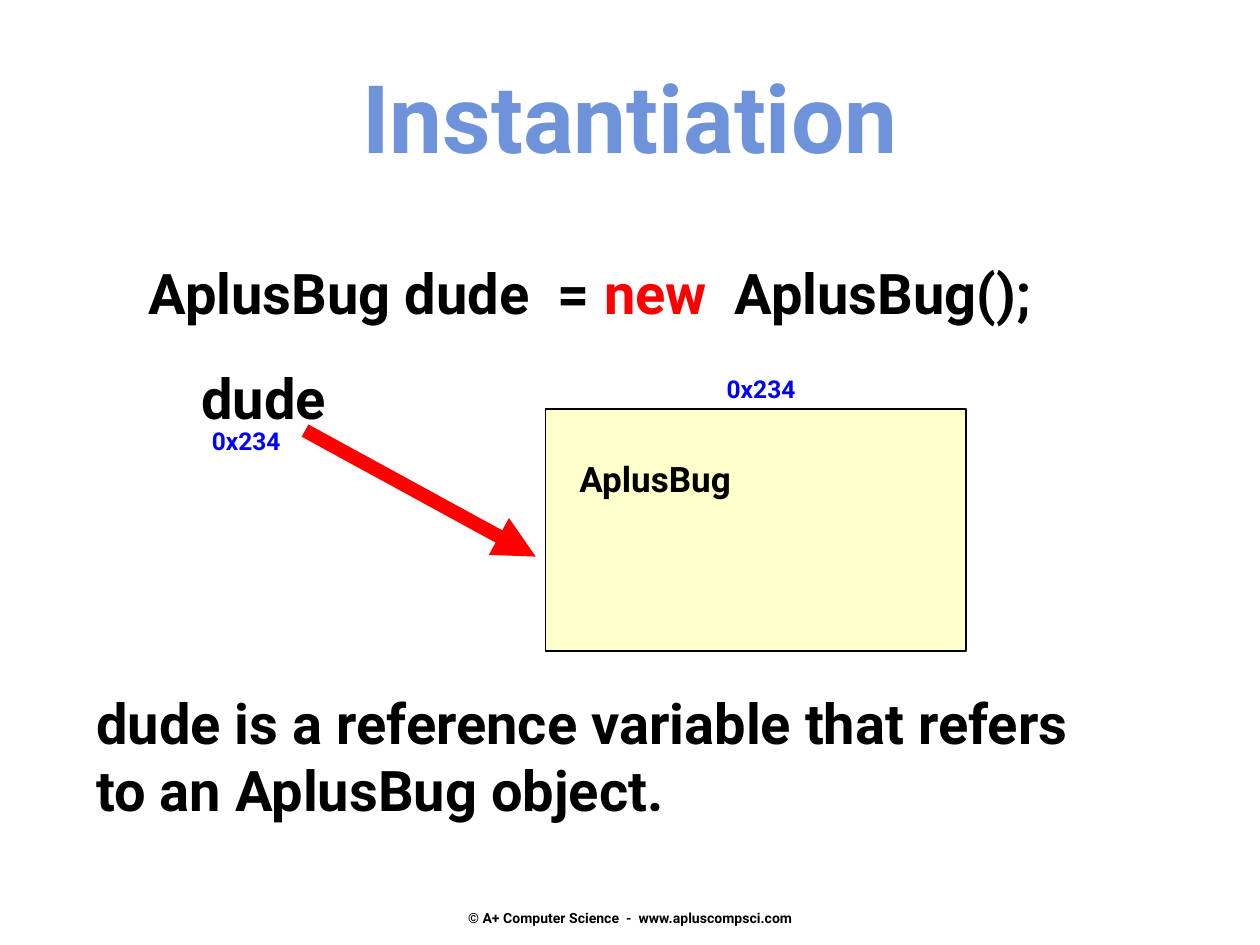
import pptx
import pptx.dml.color
import pptx.enum.shapes
import pptx.enum.text
import pptx.oxml
import pptx.oxml.ns
import pptx.util
from pptx.util import Cm

COLORS = {
    "title": "6F93DB",
    "text": "000000",
    "keyword": "FF0000",
    "address": "0000FF",
    "object": "FFFFCC",
}
ALIGN = pptx.enum.text.PP_ALIGN
ANCHOR = pptx.enum.text.MSO_ANCHOR


class SlideBuilder:
    """Holds the style and the slide being filled."""

    font_name = "Roboto"

    def __init__(self, slide):
        self.slide = slide

    def color(self, key):
        return pptx.dml.color.RGBColor.from_string(COLORS[key])

    def style(self, run, size, color):
        run.font.name = self.font_name
        run.font.size = pptx.util.Pt(size)
        run.font.bold = True
        run.font.color.rgb = self.color(color)

    def fill_frame(self, frame, text, size, color, align, anchor):
        frame.word_wrap = True
        frame.auto_size = pptx.enum.text.MSO_AUTO_SIZE.NONE
        frame.vertical_anchor = anchor
        frame.text = text
        for paragraph in frame.paragraphs:
            paragraph.alignment = align
            for run in paragraph.runs:
                self.style(run, size, color)

    def title(self, text, left, top, width, height):
        title = self.slide.shapes.title
        title.left, title.top = Cm(left), Cm(top)
        title.width, title.height = Cm(width), Cm(height)
        self.fill_frame(title.text_frame, text, 54, "title", ALIGN.CENTER, ANCHOR.TOP)

    def text(self, text, left, top, width, height, size=32, color="text",
             align=ALIGN.LEFT, anchor=ANCHOR.TOP):
        box = self.slide.shapes.add_textbox(Cm(left), Cm(top), Cm(width), Cm(height))
        self.fill_frame(box.text_frame, text, size, color, align, anchor)
        return box.text_frame

    def code(self, parts, left, top, width, height, size=32):
        paragraph = self.text("", left, top, width, height).paragraphs[0]
        for text, color in parts:
            run = paragraph.add_run()
            run.text = text
            self.style(run, size, color)

    def rectangle(self, left, top, width, height):
        box = self.slide.shapes.add_shape(
            pptx.enum.shapes.MSO_SHAPE.RECTANGLE,
            Cm(left), Cm(top), Cm(width), Cm(height))
        box.shadow.inherit = False
        box.fill.solid()
        box.fill.fore_color.rgb = self.color("object")
        box.line.color.rgb = self.color("text")
        box.line.width = pptx.util.Pt(1)

    def arrow(self, x1, y1, x2, y2):
        arrow = self.slide.shapes.add_connector(
            pptx.enum.shapes.MSO_CONNECTOR.STRAIGHT, Cm(x1), Cm(y1), Cm(x2), Cm(y2))
        arrow.line.color.rgb = self.color("keyword")
        arrow.line.width = pptx.util.Pt(8)
        head = pptx.oxml.parse_xml(
            '<a:tailEnd %s type="triangle"/>' % pptx.oxml.ns.nsdecls("a"))
        arrow.line._get_or_add_ln().append(head)
        arrow._element.spPr.append(
            pptx.oxml.parse_xml("<a:effectLst %s/>" % pptx.oxml.ns.nsdecls("a")))


def main():
    prs = pptx.Presentation()
    prs.slide_width, prs.slide_height = Cm(25.4), Cm(19.05)
    builder = SlideBuilder(prs.slides.add_slide(prs.slide_layouts[5]))

    # Title and the statement that creates the object
    builder.title("Instantiation", 0, 1.06, 25.4, 2.57)
    builder.code([("AplusBug dude  = ", "text"),
                  ("new  ", "keyword"),
                  ("AplusBug();", "text")], 2.75, 5.08, 20.93, 1.63)

    # The object in memory
    builder.rectangle(11, 8.25, 8.47, 4.87)
    builder.text("AplusBug", 11.43, 9.1, 3.9, 1.11, size=20)

    # The reference pointing to it
    builder.text("dude", 3.81, 7.2, 3.35, 1.63)
    builder.arrow(6.15, 8.68, 10.8, 11.22)

    # The same address at both ends
    for left, top in ((14.4, 7.41), (4.02, 8.47)):
        builder.text("0x234", left, top, 2.34, 0.85, size=14, color="address")

    # Explanation and footer
    builder.text("dude is a reference variable that refers\nto an AplusBug object.",
                 1.69, 13.76, 22.76, 3)
    builder.text("© A+ Computer Science  -  www.apluscompsci.com", 8.69, 17.36, 8.04, 1.44,
                 size=8, align=ALIGN.CENTER, anchor=ANCHOR.BOTTOM)

    prs.save("out.pptx")


if __name__ == "__main__":
    main()
